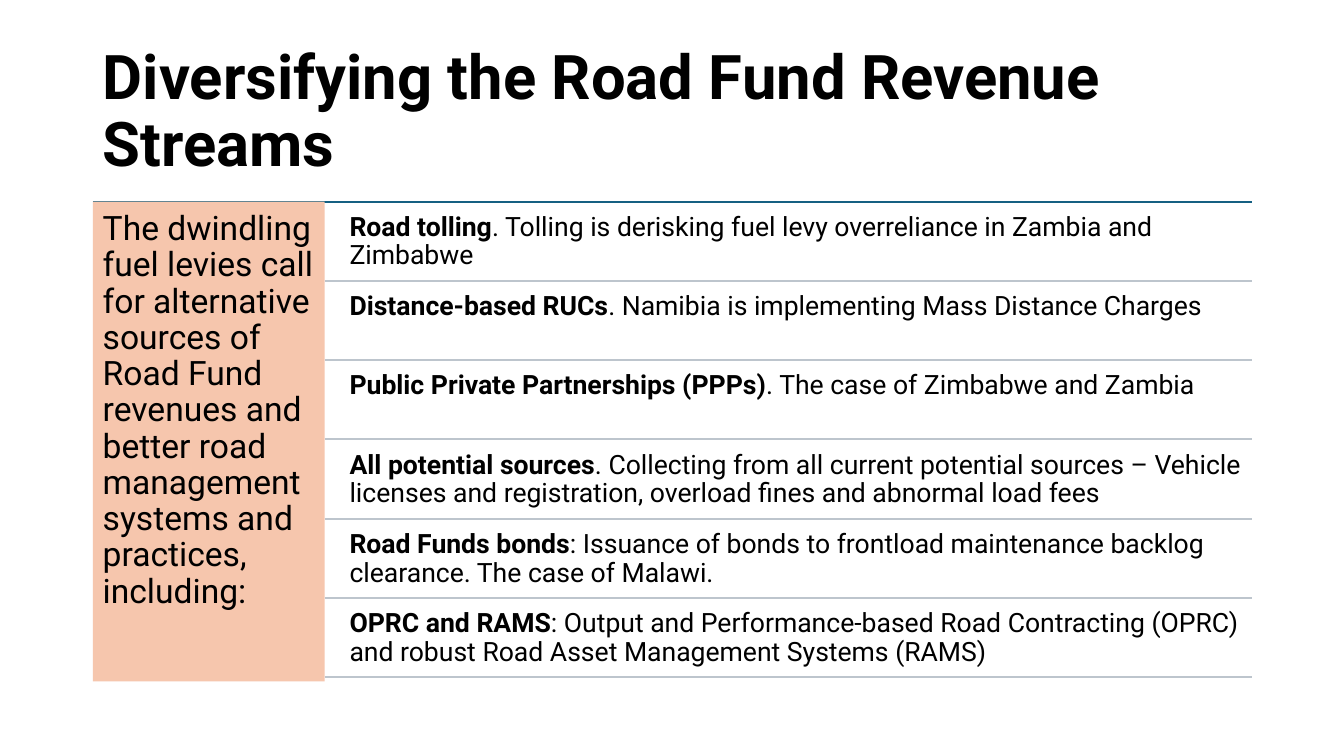
"""Build a slide on diversifying the revenue streams of road funds."""
from lxml.etree import SubElement
from pptx import Presentation
from pptx.dml.color import RGBColor
from pptx.enum.shapes import MSO_CONNECTOR as Connector, MSO_SHAPE as Shape
from pptx.enum.text import MSO_ANCHOR as Anchor, MSO_AUTO_SIZE as AutoSize, PP_ALIGN as Align
from pptx.oxml.ns import qn
from pptx.util import Cm, Pt

TITLE = "Diversifying the Road Fund Revenue Streams"
INTRO = ("The dwindling fuel levies call for alternative sources of Road Fund revenues "
         "and better road management systems and practices, including:")
STREAMS = [
    ("Road tolling", ". Tolling is derisking fuel levy overreliance in Zambia and Zimbabwe"),
    ("Distance-based RUCs", ". Namibia is implementing Mass Distance Charges"),
    ("Public Private Partnerships (PPPs)", ". The case of Zimbabwe and Zambia"),
    ("All potential sources", ". Collecting from all current potential sources – Vehicle "
     "licenses and registration, overload fines and abnormal load fees"),
    ("Road Funds bonds", ": Issuance of bonds to frontload maintenance backlog clearance. "
     "The case of Malawi."),
    ("OPRC and RAMS", ": Output and Performance-based Road Contracting (OPRC) "
     "and robust Road Asset Management Systems (RAMS)"),
]
FONT, BLACK, PEACH, TEAL, GREY = "Roboto", "000000", "F6C6AD", "156082", "BDC5CD"
LEFT, TOP, WIDTH = 2.34, 5.08, 29.21
RIGHT = LEFT + WIDTH
PANEL_WIDTH, PANEL_HEIGHT = 5.84, 12.09
ROW_LEFT, ROW_HEIGHT, ROW_PITCH, ROW_GAP = 8.61, 1.9, 2, 0.09


def color(value):
    return RGBColor.from_string(value)


def prepare(frame, inset, anchor=Anchor.TOP):
    frame.word_wrap = True
    frame.auto_size = AutoSize.NONE
    frame.vertical_anchor = anchor
    frame.margin_left = frame.margin_right = Cm(inset)
    frame.margin_top = frame.margin_bottom = Cm(inset)
    return frame.paragraphs[0]


def style(para, size, bold=None):
    para.alignment = Align.LEFT
    para.line_spacing = 0.9
    para.font.name = FONT
    para.font.size = Pt(size)
    para.font.bold = bold
    para.font.color.rgb = color(BLACK)


def add_rule(page, left, y, shade):
    rule = page.shapes.add_connector(Connector.STRAIGHT, Cm(left), Cm(y), Cm(RIGHT), Cm(y))
    rule.line.color.rgb = color(shade)
    rule.line.width = Pt(1.5)
    SubElement(rule._element.spPr, qn("a:effectLst"))


def add_title(page):
    title = page.shapes.title
    title.left, title.top, title.width, title.height = Cm(LEFT), Cm(1.01), Cm(WIDTH), Cm(3.68)
    para = prepare(title.text_frame, 0.25, Anchor.MIDDLE)
    para.text = TITLE
    style(para, 44, True)


def add_panel(page):
    panel = page.shapes.add_shape(Shape.RECTANGLE, Cm(LEFT), Cm(TOP),
                                  Cm(PANEL_WIDTH), Cm(PANEL_HEIGHT))
    panel.shadow.inherit = False
    panel.fill.solid()
    panel.fill.fore_color.rgb = color(PEACH)
    panel.line.fill.background()
    para = prepare(panel.text_frame, 0.25)
    para.text = INTRO
    style(para, 24)


def add_stream(page, top, name, detail):
    box = page.shapes.add_textbox(Cm(ROW_LEFT), Cm(top), Cm(RIGHT - ROW_LEFT), Cm(ROW_HEIGHT))
    para = prepare(box.text_frame, 0.2)
    for text, bold in ((name, True), (detail, False)):
        span = para.add_run()
        span.text = text
        span.font.bold = bold
    style(para, 19)
    add_rule(page, LEFT + PANEL_WIDTH, top + ROW_HEIGHT, GREY)


def main():
    deck = Presentation()
    deck.slide_width, deck.slide_height = Cm(33.87), Cm(19.05)
    page = deck.slides.add_slide(deck.slide_layouts[5])
    add_title(page)
    add_rule(page, LEFT, TOP, TEAL)
    add_panel(page)
    for index, (name, detail) in enumerate(STREAMS):
        add_stream(page, TOP + ROW_GAP + index * ROW_PITCH, name, detail)
    deck.save("out.pptx")


if __name__ == "__main__":
    main()
